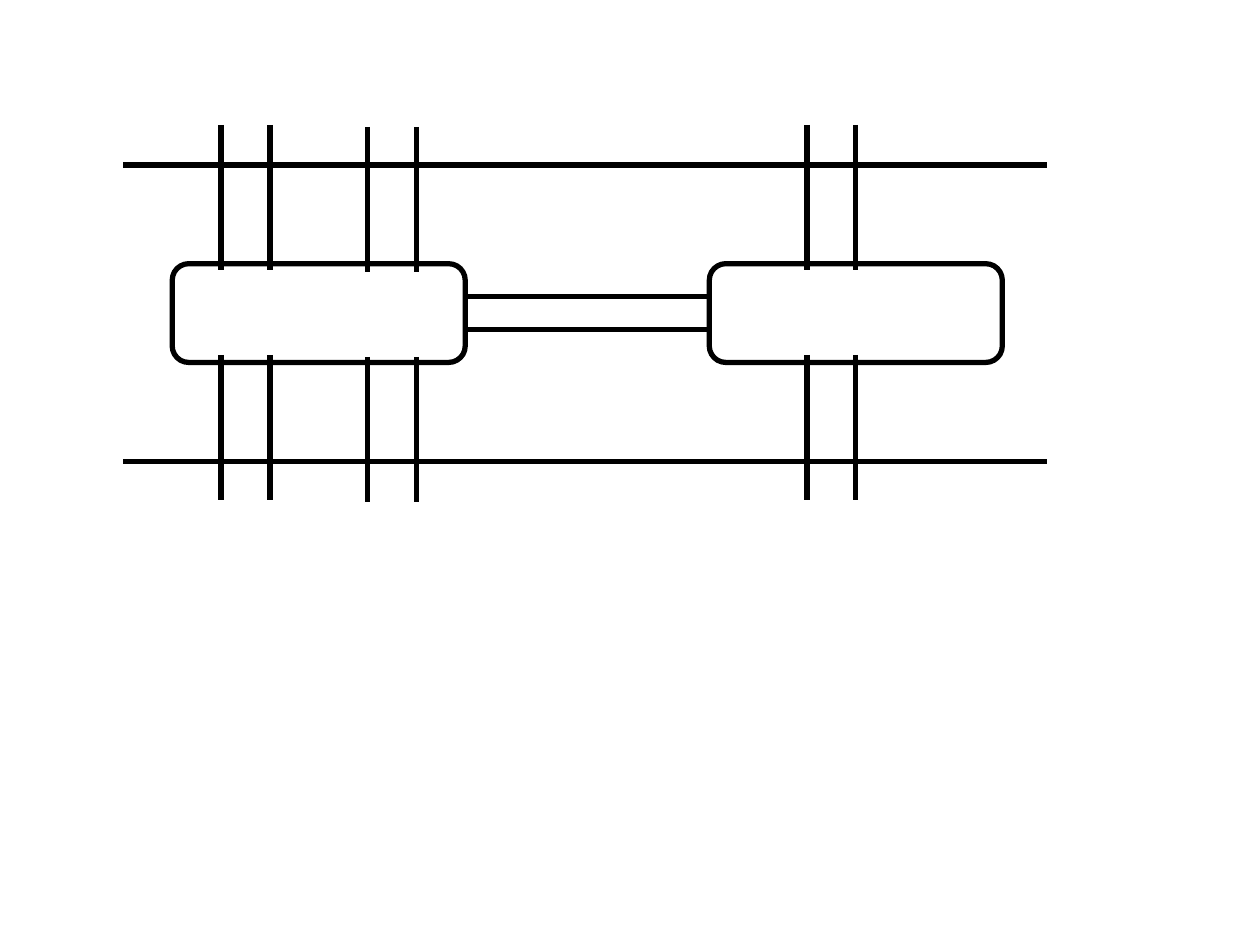
from lxml import etree
from pptx import Presentation
from pptx.dml.color import RGBColor
from pptx.enum.shapes import MSO_CONNECTOR, MSO_SHAPE
from pptx.oxml.ns import qn
from pptx.util import Inches, Pt

ROUND = MSO_SHAPE.ROUNDED_RECTANGLE
STRAIGHT = MSO_CONNECTOR.STRAIGHT

# Grid: origin at the left end of the top rail, sizes in inches
LEFT, TOP = 0.98, 1.31
COL = 4.65 / 12
ROW = 2.35 / 9


def color(text):
    return RGBColor.from_string(text)


class Sketch:
    """Style and current slide; lengths are grid columns and rows."""

    ink = "000000"
    paper = "FFFFFF"
    pen = {"width": Pt(3)}

    def __init__(self, slide):
        self.slide = slide
        self.group = slide.shapes.add_group_shape()

    def spot(self, col, row):
        return Inches(LEFT + col * COL), Inches(TOP + row * ROW)

    def stroke(self, item):
        item.line.color.rgb = color(self.ink)
        for name, value in self.pen.items():
            setattr(item.line, name, value)

    def box(self, col, row, wide, high):
        x, y = self.spot(col, row)
        shape = self.group.shapes.add_shape(
            ROUND, x, y, Inches(wide * COL), Inches(high * ROW))
        shape.shadow.inherit = False
        shape.fill.solid()
        shape.fill.fore_color.rgb = color(self.paper)
        self.stroke(shape)

    def rule(self, start, end):
        link = self.group.shapes.add_connector(
            STRAIGHT, *self.spot(*start), *self.spot(*end))
        self.stroke(link)
        etree.SubElement(link._element.spPr, qn("a:effectLst"))


def main():
    deck = Presentation()
    deck.slide_width, deck.slide_height = Inches(10), Inches(7.5)
    art = Sketch(deck.slides.add_slide(deck.slide_layouts[6]))

    # Two rounded boxes
    for col in (1, 12):
        art.box(col, 3, 6, 3)

    # Long rails above and below
    for row in (0, 9):
        art.rule((0, row), (18.92, row))

    # Pairs of upright lines: first column and downward shift
    for first, shift in ((2, 0), (14, 0), (5, 0.06)):
        for col in (first, first + 1):
            for row in (-1.22, 5.77):
                start = row + shift
                art.rule((col, start), (col, start + 4.41))

    # Double bar between the boxes
    for row in (4, 5):
        art.rule((7, row), (12, row))

    deck.save("out.pptx")


if __name__ == "__main__":
    main()
